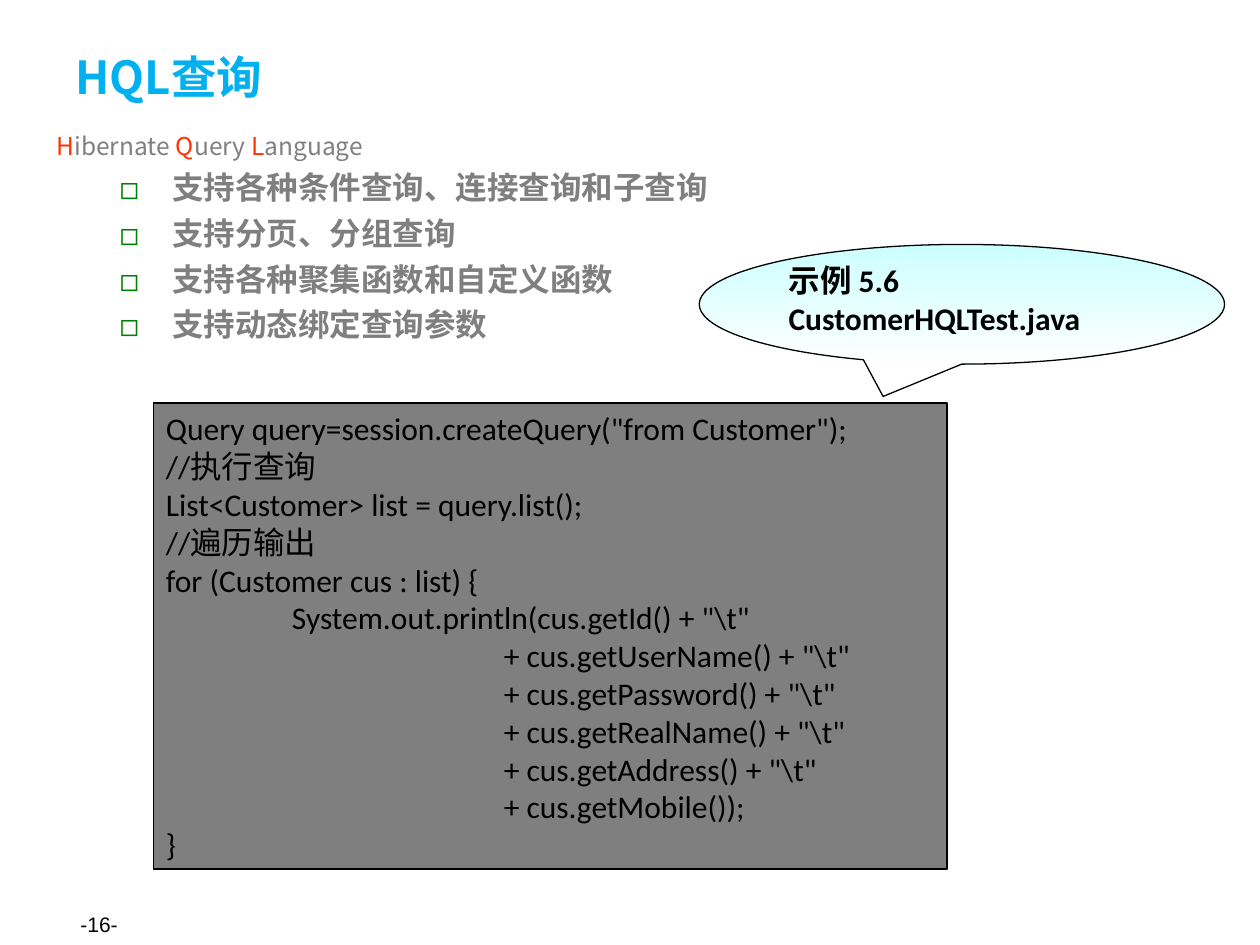
from dataclasses import dataclass

from lxml import etree
from pptx import Presentation
from pptx.dml.color import RGBColor
from pptx.enum.shapes import MSO_SHAPE
from pptx.enum.text import MSO_ANCHOR, PP_ALIGN
from pptx.oxml.ns import qn
from pptx.util import Pt

TOP, MIDDLE = MSO_ANCHOR.TOP, MSO_ANCHOR.MIDDLE
LEFT = PP_ALIGN.LEFT
RECTANGLE = MSO_SHAPE.RECTANGLE
CALLOUT = MSO_SHAPE.OVAL_CALLOUT


@dataclass(frozen=True)
class Theme:
    black: str = "000000"
    grey: str = "7F7F7F"
    title: str = "00B0F0"
    initial: str = "FF3300"
    bullet: str = "008000"
    callout_top: str = "CCFFFF"
    callout_bottom: str = "FFFFFF"
    heading_font: str = "Noto Sans CJK SC"
    bullet_font: str = "Times New Roman"
    code_font: str = "Calibri"
    page_font: str = "Arial"
    title_size: int = 26
    text_size: int = 18
    intro_size: int = 14
    page_size: int = 12


THEME = Theme()

INTRO = [("H", "ibernate "), ("Q", "uery "), ("L", "anguage")]
FEATURES = [
    "支持各种条件查询、连接查询和子查询",
    "支持分页、分组查询",
    "支持各种聚集函数和自定义函数",
    "支持动态绑定查询参数",
]
CODE_INDENTS = (0, 72, 193)
CODE = [
    (0, 'Query query=session.createQuery("from Customer");'),
    (0, "//执行查询"),
    (0, "List<Customer> list = query.list();"),
    (0, "//遍历输出"),
    (0, "for (Customer cus : list) {"),
    (1, r'System.out.println(cus.getId() + "\t"'),
    (2, r'+ cus.getUserName() + "\t"'),
    (2, r'+ cus.getPassword() + "\t"'),
    (2, r'+ cus.getRealName() + "\t"'),
    (2, r'+ cus.getAddress() + "\t"'),
    (2, "+ cus.getMobile());"),
    (0, "}"),
]
CALLOUT_LINES = ["示例 5.6", "CustomerHQLTest.java"]


def apply(target, values):
    for name, value in values.items():
        setattr(target, name, value)


def set_frame(shape, anchor):
    frame = shape.text_frame
    apply(frame, {
        "word_wrap": True, "vertical_anchor": anchor,
        "margin_left": Pt(7.2), "margin_right": Pt(7.2),
        "margin_top": Pt(3.6), "margin_bottom": Pt(3.6),
    })
    return frame


def add_text_area(slide, box, anchor):
    return set_frame(slide.shapes.add_textbox(*map(Pt, box)), anchor)


def add_outlined_shape(slide, kind, box, line_width):
    shape = slide.shapes.add_shape(kind, *map(Pt, box))
    shape.shadow.inherit = False
    shape.line.color.rgb = RGBColor.from_string(THEME.black)
    shape.line.width = Pt(line_width)
    return shape


def add_paragraph(frame, first=False, indent=0, hanging=0, **formats):
    paragraph = frame.paragraphs[0] if first else frame.add_paragraph()
    apply(paragraph, {"alignment": LEFT, **formats})
    properties = paragraph._p.get_or_add_pPr()
    properties.set("marL", str(Pt(indent)))
    properties.set("indent", str(Pt(-hanging)))
    return paragraph


def add_run(paragraph, text, size, font, color, bold=False, east_asian=None):
    run = paragraph.add_run()
    run.text = text
    apply(run.font, {"size": Pt(size), "name": font, "bold": bold})
    run.font.color.rgb = RGBColor.from_string(color)
    latin = run.font._element.find(qn("a:latin"))
    asian_face = etree.Element(qn("a:ea"), typeface=east_asian or font)
    latin.addnext(asian_face)


def add_bullet(paragraph):
    properties = paragraph._p.get_or_add_pPr()
    color = etree.SubElement(properties, qn("a:buClr"))
    etree.SubElement(color, qn("a:srgbClr"), val=THEME.bullet)
    etree.SubElement(properties, qn("a:buFont"), typeface=THEME.heading_font)
    etree.SubElement(properties, qn("a:buChar"), char="◻")


def add_line(slide, box, text, *style):
    frame = add_text_area(slide, box, MIDDLE)
    add_run(add_paragraph(frame, first=True), text, *style)


def add_features(slide):
    frame = add_text_area(slide, (25.2, 71.3, 668.9, 425.5), TOP)
    intro = add_paragraph(frame, first=True, indent=36, hanging=36,
                          space_before=Pt(3.5))
    for initial, rest in INTRO:
        for text, color in ((initial, THEME.initial), (rest, THEME.grey)):
            add_run(intro, text, THEME.intro_size, THEME.heading_font, color)
    for feature in FEATURES:
        item = add_paragraph(frame, indent=66.2, hanging=30.2, level=1,
                             space_before=Pt(4.5))
        add_bullet(item)
        add_run(item, feature, THEME.text_size, THEME.bullet_font, THEME.grey,
                bold=True, east_asian=THEME.code_font)


def add_code(slide):
    panel = add_outlined_shape(slide, RECTANGLE, (87.8, 230.4, 453.6, 266.4), 1)
    panel.fill.solid()
    panel.fill.fore_color.rgb = RGBColor.from_string(THEME.grey)
    frame = set_frame(panel, MIDDLE)
    for number, (depth, statement) in enumerate(CODE):
        line = add_paragraph(frame, number == 0, CODE_INDENTS[depth])
        add_run(line, statement, THEME.text_size, THEME.code_font, THEME.black)


def add_callout(slide):
    callout = add_outlined_shape(slide, CALLOUT, (399.6, 139.7, 300.2, 68.4), 0.75)
    callout.adjustments[0] = -0.15
    callout.adjustments[1] = 0.77
    callout.fill.gradient()
    callout.fill.gradient_angle = 270
    shades = (THEME.callout_top, THEME.callout_bottom)
    for stop, shade in zip(callout.fill.gradient_stops, shades):
        stop.color.rgb = RGBColor.from_string(shade)
    frame = set_frame(callout, TOP)
    for number, text in enumerate(CALLOUT_LINES):
        line = add_paragraph(frame, number == 0, line_spacing=0.8,
                             space_before=Pt(4.5))
        add_run(line, text, THEME.text_size, THEME.code_font, THEME.black, True)


def main():
    deck = Presentation()
    apply(deck, {"slide_width": Pt(720), "slide_height": Pt(540)})
    slide = deck.slides.add_slide(deck.slide_layouts[6])
    add_line(slide, (38.9, 513.4, 167.8, 28.8), "-16-",
             THEME.page_size, THEME.page_font, THEME.black)
    add_line(slide, (36, 21.6, 648, 43.9), "HQL查询",
             THEME.title_size, THEME.heading_font, THEME.title, True)
    add_features(slide)
    add_code(slide)
    add_callout(slide)
    deck.save("out.pptx")


if __name__ == "__main__":
    main()
